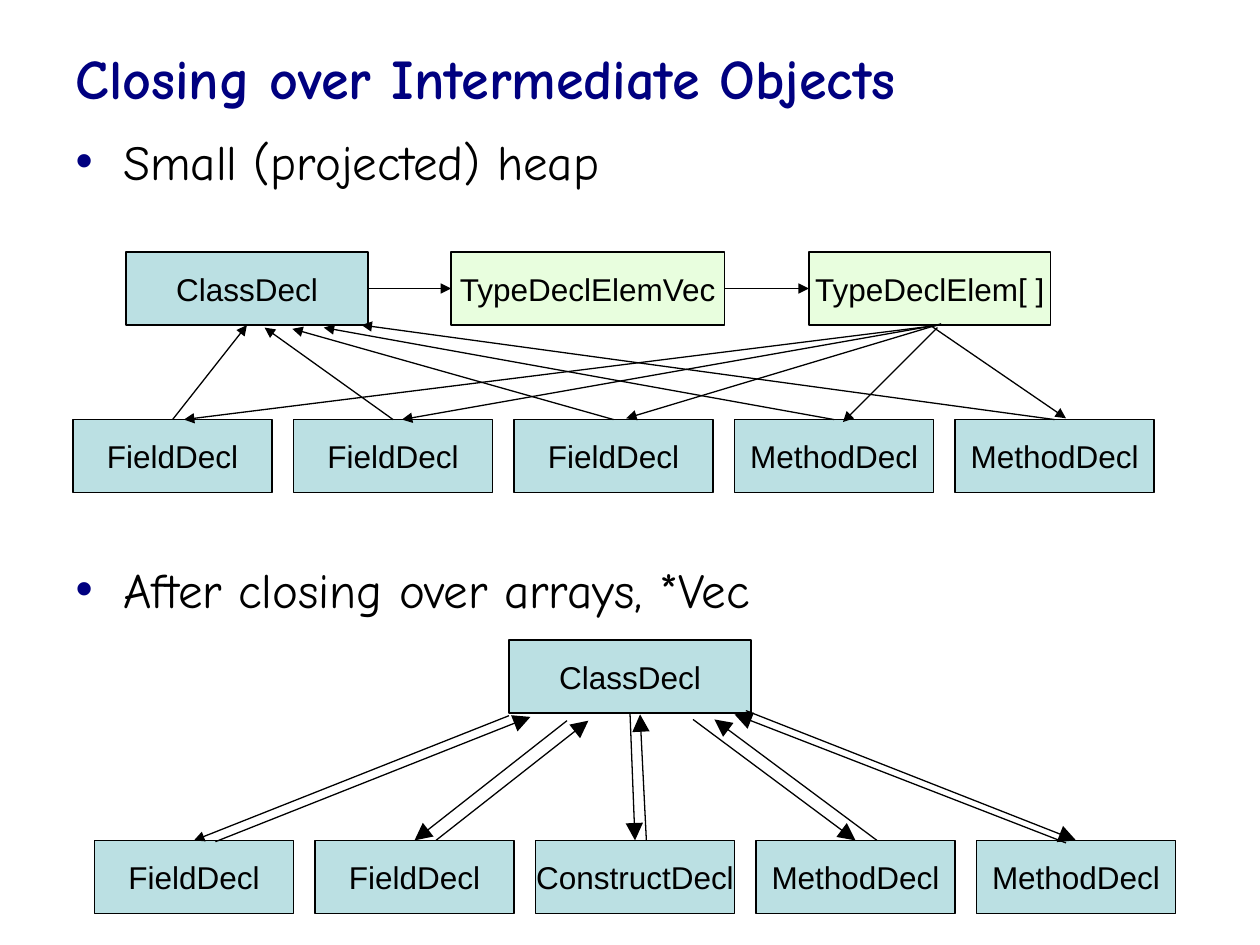
from lxml import etree
from pptx import Presentation
from pptx.dml.color import RGBColor
from pptx.enum.shapes import MSO_CONNECTOR, MSO_SHAPE
from pptx.enum.text import MSO_ANCHOR, MSO_AUTO_SIZE, PP_ALIGN
from pptx.oxml.ns import qn
from pptx.util import Inches, Pt

COLORS = {"navy": "000080", "black": "000000", "blue": "BBE0E3", "green": "E8FEDE"}
TOP, LEFT, BOTTOM, RIGHT = range(4)
BOX_HEIGHT = 0.58


def color(name):
    """Return the named colour."""
    return RGBColor.from_string(COLORS[name])


def write(paragraph, text, *, size, font, fill="black", bold=False,
          align=PP_ALIGN.LEFT, before=0):
    """Put formatted text in a paragraph."""
    paragraph.alignment = align
    paragraph.space_before = Pt(before)
    run = paragraph.add_run()
    run.text = text
    run.font.size = Pt(size)
    run.font.name = font
    run.font.bold = bold
    run.font.color.rgb = color(fill)


def add_bullet(paragraph):
    """Give a paragraph a navy bullet with a hanging indent."""
    properties = paragraph._p.get_or_add_pPr()
    properties.set("marL", str(Inches(0.38)))
    properties.set("indent", str(-Inches(0.38)))
    bullet_color = etree.SubElement(properties, qn("a:buClr"))
    etree.SubElement(bullet_color, qn("a:srgbClr"), val=COLORS["navy"])
    etree.SubElement(properties, qn("a:buChar"), char="•")


def place(shape, left, top, width, height, anchor):
    """Position a placeholder and anchor its text."""
    shape.left, shape.top = Inches(left), Inches(top)
    shape.width, shape.height = Inches(width), Inches(height)
    shape.text_frame.auto_size = MSO_AUTO_SIZE.NONE
    shape.text_frame.vertical_anchor = anchor


def add_title(slide, text):
    """Fill the title placeholder."""
    title = slide.shapes.title
    place(title, 0.5, -0.01, 9, 1.25, MSO_ANCHOR.MIDDLE)
    write(title.text_frame.paragraphs[0], text, size=32, font="Comic Neue",
          fill="navy", bold=True)


def add_bullets(slide, items):
    """Fill the body placeholder from pairs of text and space before."""
    body = slide.placeholders[1]
    place(body, 0.5, 0.99, 9, 4.95, MSO_ANCHOR.TOP)
    frame = body.text_frame
    for index, (text, before) in enumerate(items):
        paragraph = frame.add_paragraph() if index else frame.paragraphs[0]
        add_bullet(paragraph)
        write(paragraph, text, size=28, font="Comic Neue", before=before)


def add_box(slide, text, left, top, width=1.92, fill="blue"):
    """Add a labelled class box."""
    box = slide.shapes.add_shape(MSO_SHAPE.RECTANGLE, Inches(left), Inches(top),
                                 Inches(width), Inches(BOX_HEIGHT))
    box.shadow.inherit = False
    box.fill.solid()
    box.fill.fore_color.rgb = color(fill)
    box.line.color.rgb = color("black")
    box.line.width = Pt(0.75)
    box.text_frame.word_wrap = False
    box.text_frame.vertical_anchor = MSO_ANCHOR.MIDDLE
    write(box.text_frame.paragraphs[0], text, size=18, font="Arial",
          align=PP_ALIGN.CENTER)
    return box


def add_row(slide, labels, left, top):
    """Add a row of equally spaced member boxes."""
    return [add_box(slide, label, left + 1.75 * index, top, 1.58)
            for index, label in enumerate(labels)]


def add_arrow(slide, start, end, head="med"):
    """Add an arrow between points or (box, side) pairs."""
    joins = [hasattr(place_at[0], "shape_id") for place_at in (start, end)]
    points = [(0, 0) if joined else place_at
              for joined, place_at in zip(joins, (start, end))]
    arrow = slide.shapes.add_connector(
        MSO_CONNECTOR.STRAIGHT, *(Inches(value) for point in points for value in point))
    if joins[0]:
        arrow.begin_connect(*start)
    if joins[1]:
        arrow.end_connect(*end)
    arrow.line.color.rgb = color("black")
    arrow.line.width = Pt(0.75)
    etree.SubElement(arrow.line._get_or_add_ln(), qn("a:tailEnd"),
                     type="triangle", w=head, len=head)
    etree.SubElement(arrow._element.spPr, qn("a:effectLst"))


def add_projected_heap(slide):
    """Draw the heap with its intermediate objects."""
    owner = add_box(slide, "ClassDecl", 1, 2)
    vector = add_box(slide, "TypeDeclElemVec", 3.58, 2, 2.17, "green")
    array = add_box(slide, "TypeDeclElem[ ]", 6.42, 2, fill="green")
    members = add_row(slide, ["FieldDecl"] * 3 + ["MethodDecl"] * 2, 0.58, 3.33)
    add_arrow(slide, (owner, RIGHT), (vector, LEFT))
    add_arrow(slide, (vector, RIGHT), (array, LEFT))
    down = [((7.46, 2.58), (1.46, 3.33)), ((7.44, 2.58), (3.19, 3.33)),
            ((7.47, 2.57), (4.97, 3.32)), ((7.44, 2.6), (6.69, 3.35)),
            ((array, BOTTOM), (8.46, 3.32))]
    up = [(owner, BOTTOM), (2.1, 2.6), (2.32, 2.61), (2.57, 2.6), (2.87, 2.58)]
    for member, (start, end), target in zip(members, down, up):
        add_arrow(slide, start, end)
        add_arrow(slide, (member, TOP), target)


def add_closed_heap(slide):
    """Draw the heap after closing over the intermediate objects."""
    owner = add_box(slide, "ClassDecl", 4.04, 5.08)
    labels = ["FieldDecl", "FieldDecl", "ConstructDecl", "MethodDecl", "MethodDecl"]
    members = add_row(slide, labels, 0.75, 6.67)
    down = [(4.04, 5.68), (4.5, 5.72), (owner, BOTTOM), (5.5, 5.71), (5.92, 5.64)]
    up = [((1.71, 6.68), (4.21, 5.69)), ((3.46, 6.67), (4.67, 5.72)),
          ((5.13, 6.67), (5.08, 5.67)), ((6.96, 6.67), (5.67, 5.71)),
          ((8.46, 6.69), (5.83, 5.67))]
    for index, (member, source, (start, end)) in enumerate(zip(members, down, up)):
        add_arrow(slide, source, (member, TOP), "lg" if index else "med")
        add_arrow(slide, start, end, "lg")


def main():
    """Build and save the slide."""
    presentation = Presentation()
    presentation.slide_width, presentation.slide_height = Inches(10), Inches(7.5)
    slide = presentation.slides.add_slide(presentation.slide_layouts[1])
    add_title(slide, "Closing over Intermediate Objects")
    add_bullets(slide, [("Small (projected) heap", 0),
                        ("After closing over arrays, *Vec", 211)])
    add_projected_heap(slide)
    add_closed_heap(slide)
    presentation.save("out.pptx")


if __name__ == "__main__":
    main()
